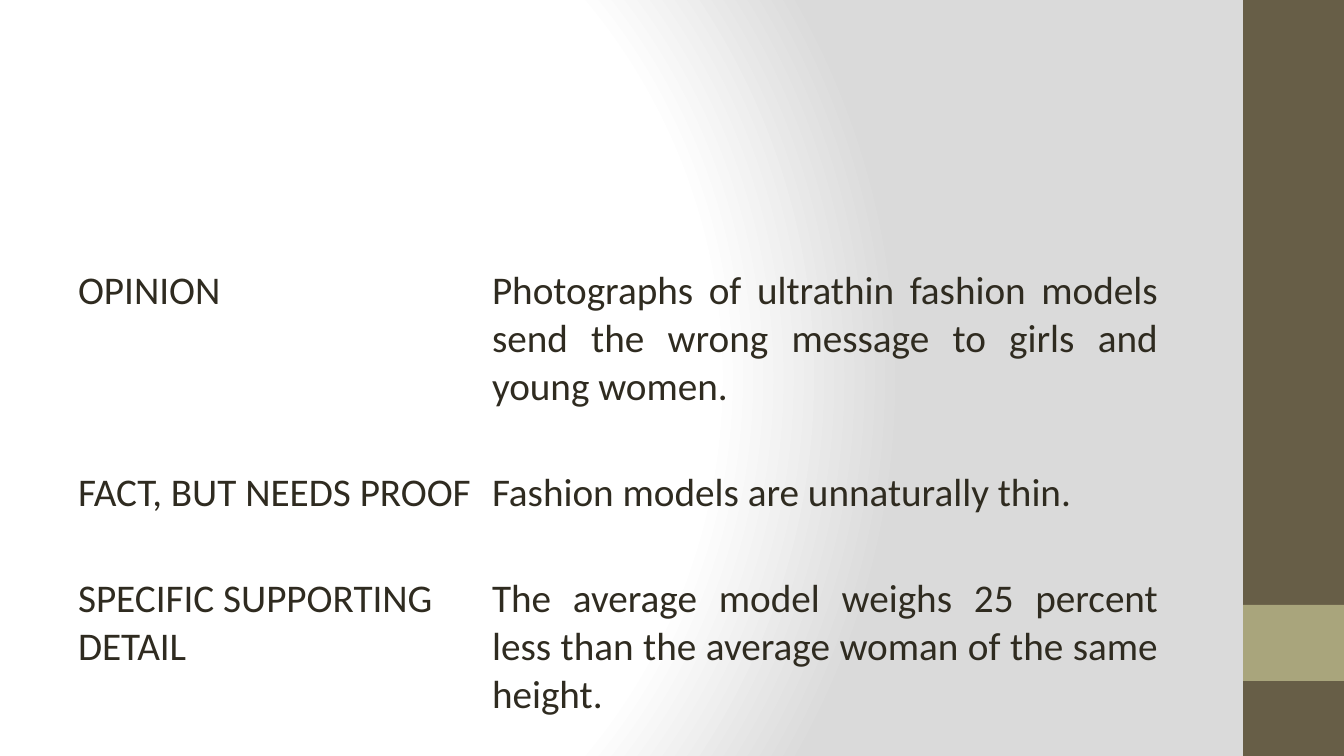
from pptx import Presentation
from pptx.dml.color import RGBColor
from pptx.enum.shapes import MSO_SHAPE
from pptx.enum.text import PP_ALIGN
from pptx.oxml import parse_xml
from pptx.oxml.ns import nsdecls, qn
from pptx.util import Pt

RECT = MSO_SHAPE.RECTANGLE
JUSTIFY = PP_ALIGN.JUSTIFY
EMU_PER_PX = 914400 / 100.8
WIDTH, HEIGHT = 1344, 756
NO_GRID_STYLE = "{2D5ABB26-0587-4C30-8999-92F81FD0307C}"
STOPS = [(0, "FFFFFF"), (75, "FFFFFF"), (100, "DADADA")]
COLUMN_WIDTHS = [414, 686]
ROW_HEIGHTS = [202, 106, 193]
ROWS = [
    (["OPINION"],
     ["Photographs of ultrathin fashion models send the wrong message "
      "to girls and young women."]),
    (["FACT, BUT NEEDS PROOF"],
     ["Fashion models are unnaturally thin."]),
    (["SPECIFIC SUPPORTING", "DETAIL"],
     ["The average model weighs 25 percent less than the average woman "
      "of the same height."]),
]


def px(n):
    return round(n * EMU_PER_PX)


def rgb(color):
    return RGBColor.from_string(color)


def set_background(s):
    stops = "".join(
        f'<a:gs pos="{pos * 1000}"><a:srgbClr val="{color}"/></a:gs>'
        for pos, color in STOPS)
    s.element.cSld.insert(0, parse_xml(
        f'<p:bg {nsdecls("p", "a")}><p:bgPr><a:gradFill rotWithShape="1">'
        f'<a:gsLst>{stops}</a:gsLst><a:path path="circle">'
        '<a:fillToRect l="20000" t="50000" r="100000" b="50000"/>'
        '</a:path></a:gradFill><a:effectLst/></p:bgPr></p:bg>'))


def add_band(s, x, y, w, h, color):
    sp = s.shapes.add_shape(RECT, px(x), px(y), px(w), px(h))
    sp.shadow.inherit = False
    sp.fill.solid()
    sp.fill.fore_color.rgb = rgb(color)
    sp.line.fill.background()


def fill_cell(cell, lines):
    cell.fill.background()
    tf = cell.text_frame
    for i, line in enumerate(lines):
        p = tf.add_paragraph() if i else tf.paragraphs[0]
        p.alignment = JUSTIFY
        r = p.add_run()
        r.text = line
        r.font.name = "Calibri"
        r.font.size = Pt(28)
        r.font.color.rgb = rgb("2F2B20")


def add_examples(s, x, y):
    frame = s.shapes.add_table(
        len(ROWS), len(COLUMN_WIDTHS), px(x), px(y),
        px(sum(COLUMN_WIDTHS)), px(sum(ROW_HEIGHTS)))
    table = frame.table
    table.first_row = False
    table.horz_banding = False
    next(frame.element.iter(qn("a:tableStyleId"))).text = NO_GRID_STYLE
    for column, w in zip(table.columns, COLUMN_WIDTHS):
        column.width = px(w)
    for row, h, texts in zip(table.rows, ROW_HEIGHTS, ROWS):
        row.height = px(h)
        for cell, lines in zip(row.cells, texts):
            fill_cell(cell, lines)


def main():
    prs = Presentation()
    prs.slide_width, prs.slide_height = px(WIDTH), px(HEIGHT)
    s = prs.slides.add_slide(prs.slide_layouts[6])
    set_background(s)
    add_band(s, 1243, 0, 101, HEIGHT, "675E47")
    add_band(s, 1243, 605, 101, 76, "A9A57C")
    add_examples(s, 68, 262)
    prs.save("out.pptx")


if __name__ == "__main__":
    main()
